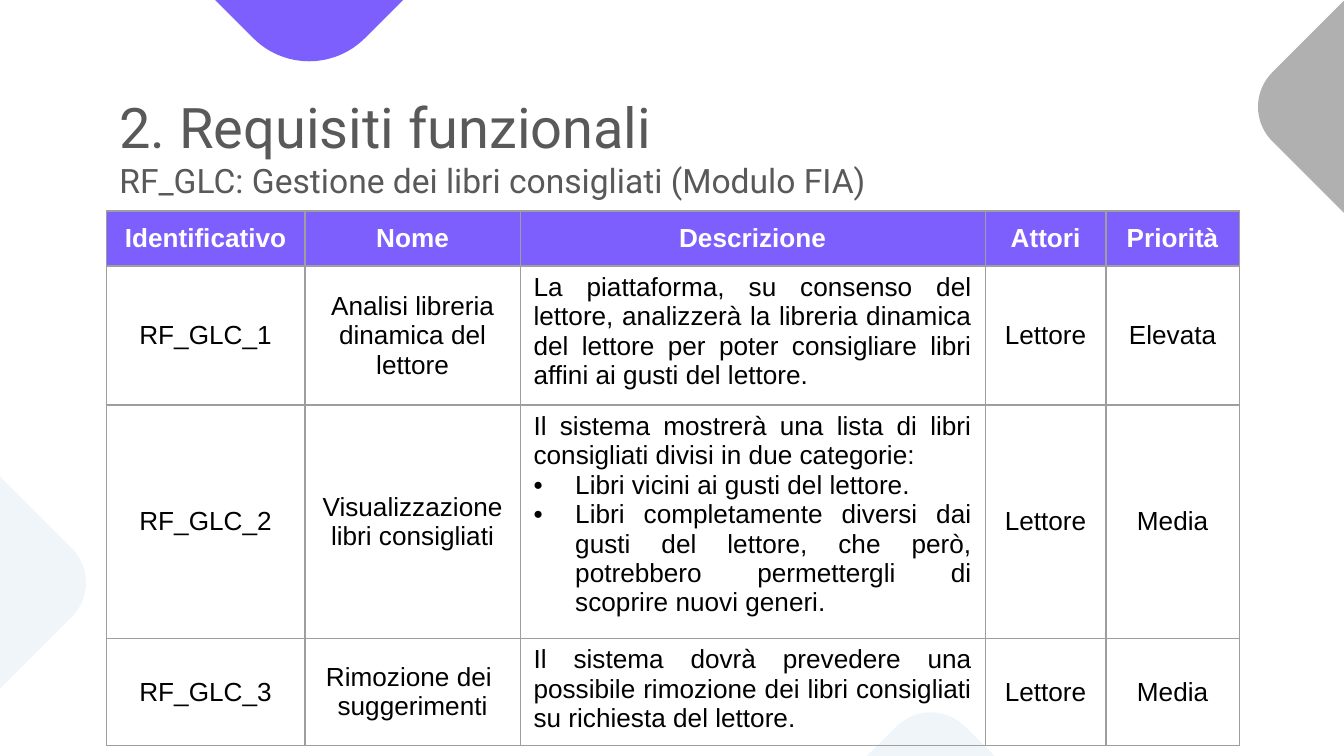
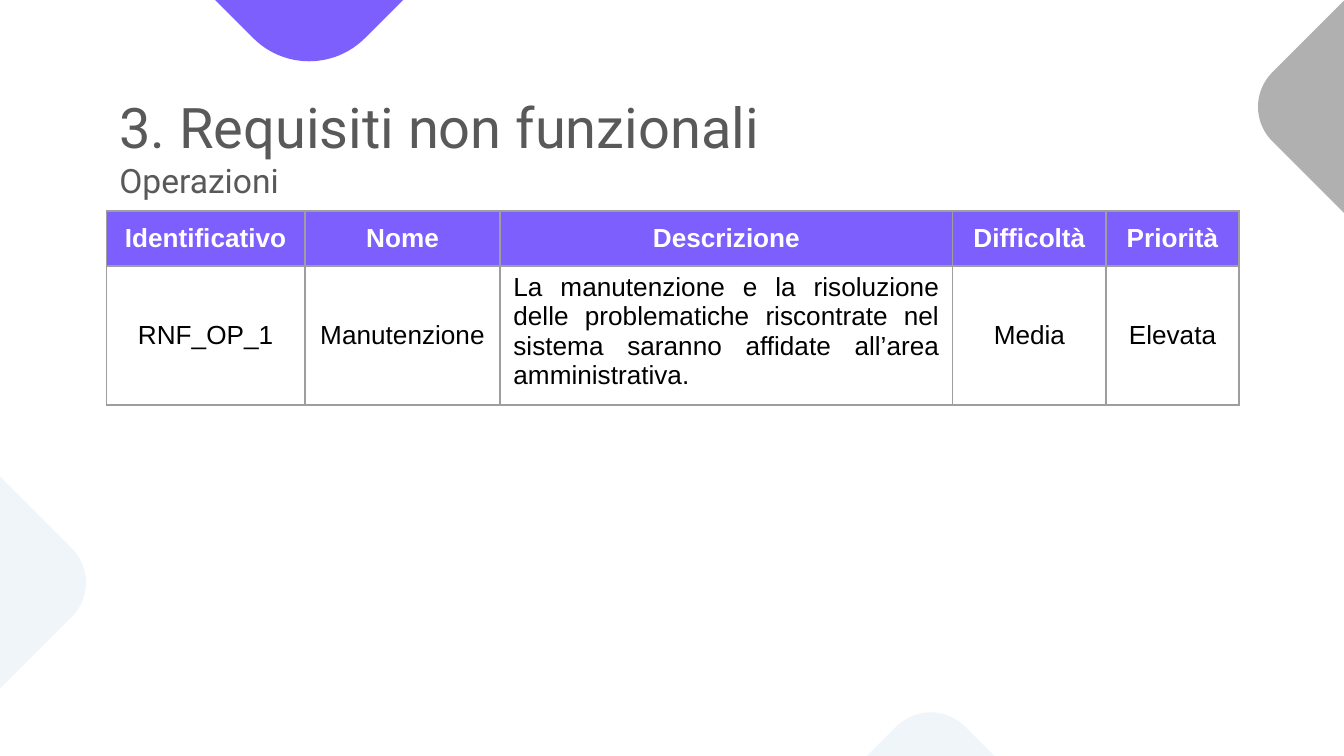
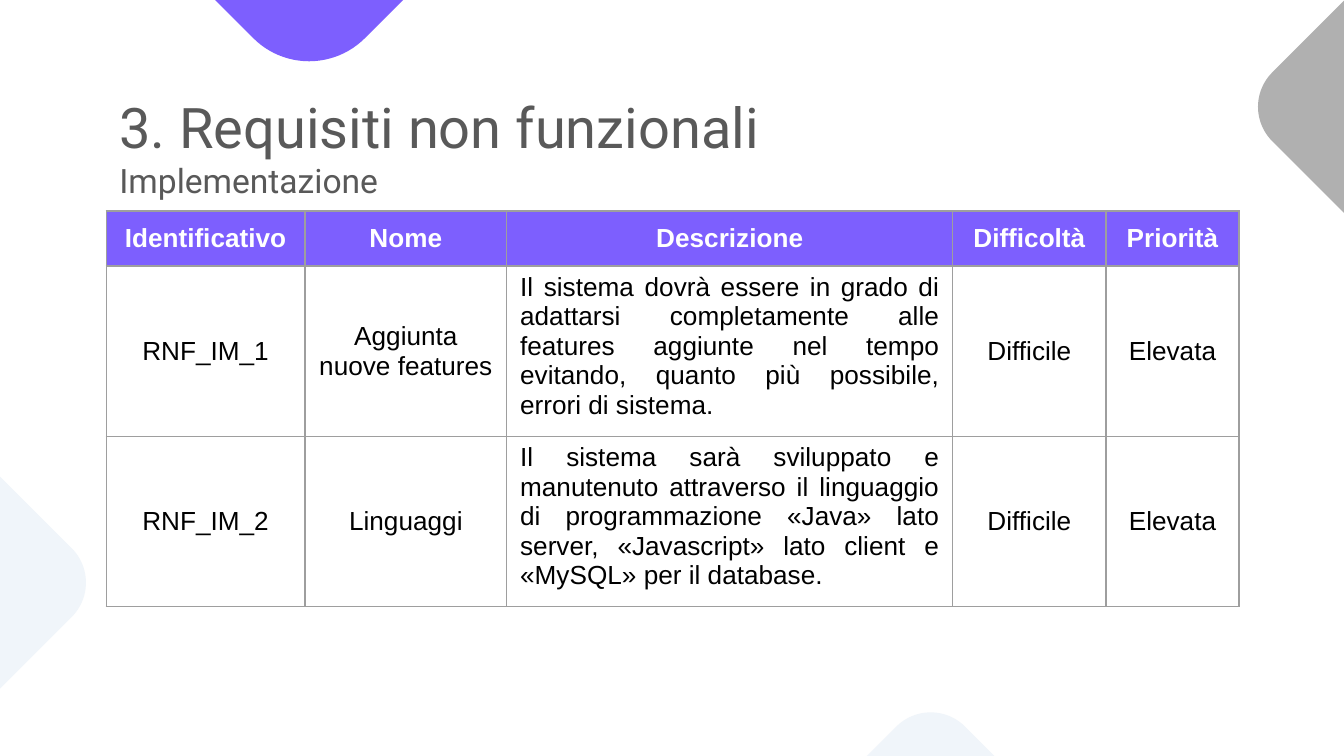
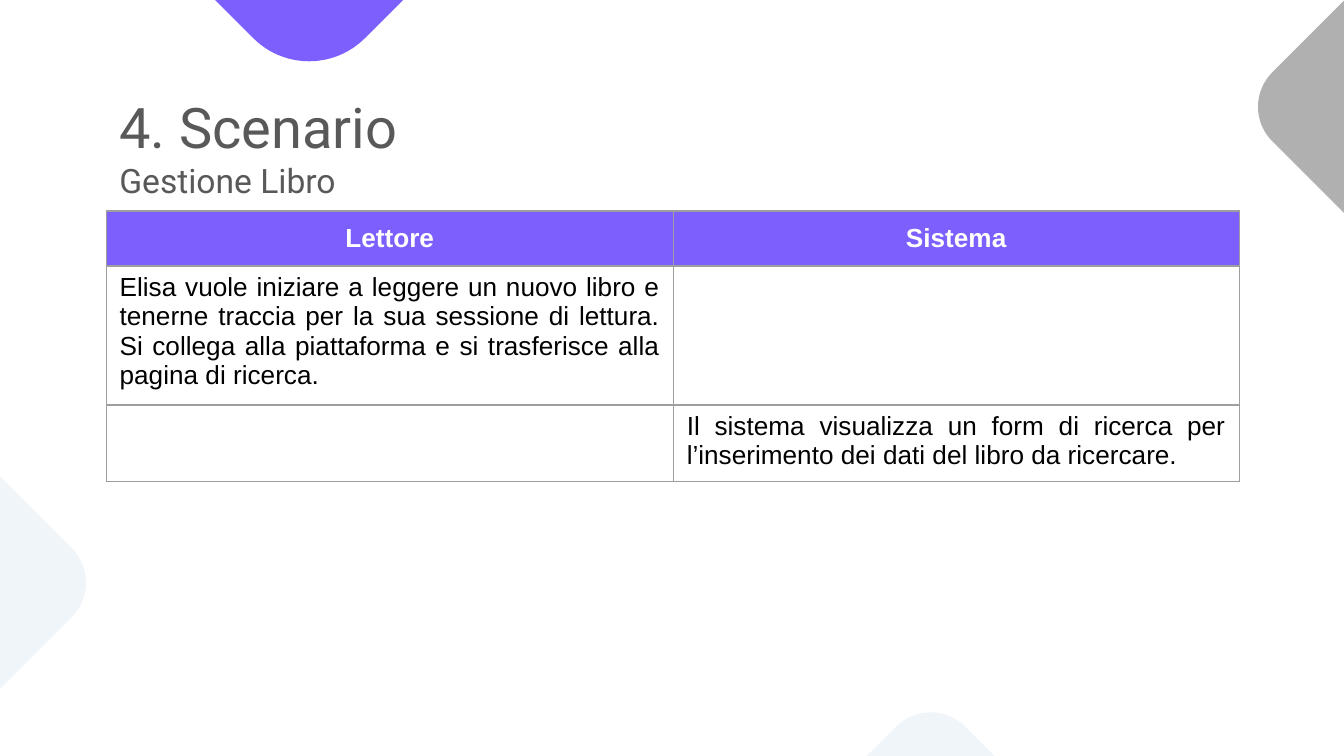
import pptx
import pptx.util
import pptx.dml.color
import pptx.enum.shapes
import pptx.enum.text
import pptx.oxml
import pptx.oxml.ns

Inches = pptx.util.Inches
Pt = pptx.util.Pt
ALIGN = pptx.enum.text.PP_ALIGN
ANCHOR = pptx.enum.text.MSO_ANCHOR

# Content
FUNCTIONAL_HEADER = ["Identificativo", "Nome", "Descrizione", "Attori", "Priorità"]
NON_FUNCTIONAL_HEADER = ["Identificativo", "Nome", "Descrizione", "Difficoltà", "Priorità"]

# Each cell is a text or a list of paragraphs; "• " starts a bullet.
# A width of None takes what the other columns leave.
SLIDES = [
    {
        "title": "2. Requisiti funzionali",
        "subtitle": "RF_GLC: Gestione dei libri consigliati (Modulo FIA)",
        "table_height": 3.97,
        "widths": [1.48, 1.6, None, 0.9, 0.99],
        "prose_columns": [2],
        "rows": [
            FUNCTIONAL_HEADER,
            ["RF_GLC_1", "Analisi libreria dinamica del lettore",
             "La piattaforma, su consenso del lettore, analizzerà la libreria dinamica "
             "del lettore per poter consigliare libri affini ai gusti del lettore.",
             "Lettore", "Elevata"],
            ["RF_GLC_2", "Visualizzazione libri consigliati",
             ["Il sistema mostrerà una lista di libri consigliati divisi in due categorie:",
              "• Libri vicini ai gusti del lettore.",
              "• Libri completamente diversi dai gusti del lettore, che però, "
              "potrebbero permettergli di scoprire nuovi generi."],
             "Lettore", "Media"],
            ["RF_GLC_3", ["Rimozione dei ", "suggerimenti"],
             "Il sistema dovrà prevedere una possibile rimozione dei libri consigliati "
             "su richiesta del lettore.",
             "Lettore", "Media"],
        ],
    },
    {
        "title": "3. Requisiti non funzionali",
        "subtitle": "Operazioni",
        "table_height": 1.44,
        "widths": [1.48, 1.45, None, 1.14, 0.99],
        "prose_columns": [2],
        "rows": [
            NON_FUNCTIONAL_HEADER,
            ["RNF_OP_1", "Manutenzione",
             "La manutenzione e la risoluzione delle problematiche riscontrate nel "
             "sistema saranno affidate all’area amministrativa.",
             "Media", "Elevata"],
        ],
    },
    {
        "title": "3. Requisiti non funzionali",
        "subtitle": "Implementazione",
        "table_height": 2.94,
        "widths": [1.48, 1.5, None, 1.14, 0.99],
        "prose_columns": [2],
        "rows": [
            NON_FUNCTIONAL_HEADER,
            ["RNF_IM_1", "Aggiunta nuove features",
             "Il sistema dovrà essere in grado di adattarsi completamente alle features "
             "aggiunte nel tempo evitando, quanto più possibile, errori di sistema.",
             "Difficile", "Elevata"],
            ["RNF_IM_2", "Linguaggi",
             "Il sistema sarà sviluppato e manutenuto attraverso il linguaggio di "
             "programmazione «Java» lato server, «Javascript» lato client e «MySQL» "
             "per il database.",
             "Difficile", "Elevata"],
        ],
    },
    {
        "title": "4. Scenario",
        "subtitle": "Gestione Libro",
        "table_height": 2.01,
        "widths": [4.22, None],
        "prose_columns": [0, 1],
        "rows": [
            ["Lettore", "Sistema"],
            ["Elisa vuole iniziare a leggere un nuovo libro e tenerne traccia per la sua "
             "sessione di lettura. Si collega alla piattaforma e si trasferisce alla "
             "pagina di ricerca.", ""],
            ["", "Il sistema visualizza un form di ricerca per l’inserimento dei dati "
                 "del libro da ricercare."],
        ],
    },
]

# Shared style
COLORS = {
    "purple": "7D5FFE", "gray": "B0B0B0", "pale": "F0F5FA", "title": "595959",
    "white": "FFFFFF", "black": "000000", "border": "9E9E9E",
}
DIAMONDS = [  # left, top, side, colour
    (0.54, -3.55, 3.52, "purple"),
    (9.66, -0.29, 2.17, "gray"),
    (-1.83, 3.25, 2.17, "pale"),
    (5.84, 5.6, 2.17, "pale"),
]
TITLE_FONT = {"name": "Roboto", "size": Pt(30), "bold": False}
SUBTITLE_FONT = {**TITLE_FONT, "size": Pt(18)}
HEADER_FONT = {"name": "Arial", "size": Pt(14), "bold": True}
BODY_FONT = {**HEADER_FONT, "bold": False}
SLIDE_WIDTH = Inches(10)
SLIDE_HEIGHT = SLIDE_WIDTH * 9 // 16
LEFT, CONTENT_WIDTH = 0.79, 8.43
TITLE_TOP, TITLE_HEIGHT = 0.59, 0.98
TABLE_TOP, ROW_HEIGHT = TITLE_TOP + TITLE_HEIGHT, 0.41
BULLET_INDENT = Inches(0.31)


def rgb(color):
    return pptx.dml.color.RGBColor.from_string(COLORS[color])


def set_font(font, values, color):
    for name, value in values.items():
        setattr(font, name, value)
    font.color.rgb = rgb(color)


def add_xml(parent, xml):
    parent.append(pptx.oxml.parse_xml(
        xml.replace("NS", pptx.oxml.ns.nsdecls("a"), 1)))


def add_diamonds(slide):
    for left, top, side, color in DIAMONDS:
        diamond = slide.shapes.add_shape(
            pptx.enum.shapes.MSO_SHAPE.ROUNDED_RECTANGLE,
            Inches(left), Inches(top), Inches(side), Inches(side))
        diamond.rotation = 315
        diamond.shadow.inherit = False
        diamond.fill.solid()
        diamond.fill.fore_color.rgb = rgb(color)
        diamond.line.fill.background()


def add_title(slide, title, subtitle):
    box = slide.shapes.add_textbox(
        Inches(LEFT), Inches(TITLE_TOP), Inches(CONTENT_WIDTH), Inches(TITLE_HEIGHT))
    frame = box.text_frame
    frame.word_wrap = True
    for side in ("left", "top", "right", "bottom"):
        setattr(frame, f"margin_{side}", Inches(0.1))
    paragraph = frame.paragraphs[0]
    for text, font in ((title, TITLE_FONT), (subtitle, SUBTITLE_FONT)):
        if paragraph.runs:
            paragraph.add_line_break()
        run = paragraph.add_run()
        run.text = text
        set_font(run.font, font, "title")


def add_bullet(paragraph):
    properties = paragraph._p.get_or_add_pPr()
    properties.set("marL", str(BULLET_INDENT))
    properties.set("indent", str(-BULLET_INDENT))
    add_xml(properties, f'<a:buClr NS><a:srgbClr val="{COLORS["black"]}"/></a:buClr>')
    add_xml(properties, '<a:buFont NS typeface="Arial"/>')
    add_xml(properties, '<a:buChar NS char="•"/>')


def fill_cell(cell, content, is_header, is_prose):
    # Borders come before the fill in the cell properties
    properties = cell._tc.get_or_add_tcPr()
    for side in "LRTB":
        add_xml(properties, f'<a:ln{side} NS w="{Pt(0.75)}"><a:solidFill>'
                            f'<a:srgbClr val="{COLORS["border"]}"/></a:solidFill></a:ln{side}>')
    if is_header:
        cell.fill.solid()
        cell.fill.fore_color.rgb = rgb("purple")
    else:
        cell.fill.background()
    cell.vertical_anchor = ANCHOR.TOP if is_prose else ANCHOR.MIDDLE

    texts = [content] if isinstance(content, str) else content
    for index, text in enumerate(texts):
        frame = cell.text_frame
        paragraph = frame.add_paragraph() if index else frame.paragraphs[0]
        paragraph.alignment = ALIGN.JUSTIFY if is_prose else ALIGN.CENTER
        paragraph.line_spacing = 1.0
        if text.startswith("• "):
            add_bullet(paragraph)
        if text:
            run = paragraph.add_run()
            run.text = text.removeprefix("• ")
            set_font(run.font, HEADER_FONT if is_header else BODY_FONT,
                     "white" if is_header else "black")


def add_requirements_table(slide, rows, widths, prose_columns, table_height):
    frame = slide.shapes.add_table(
        len(rows), len(widths), Inches(LEFT), Inches(TABLE_TOP),
        Inches(CONTENT_WIDTH), Inches(table_height))
    table = frame.table
    table.first_row = table.horz_banding = False
    remainder = CONTENT_WIDTH - sum(width or 0 for width in widths)
    for column, width in zip(table.columns, widths):
        column.width = Inches(width or remainder)
    for row_index, row in enumerate(rows):
        table.rows[row_index].height = Inches(ROW_HEIGHT)
        is_header = row_index == 0
        for column_index, content in enumerate(row):
            is_prose = not is_header and column_index in prose_columns
            fill_cell(table.cell(row_index, column_index), content, is_header, is_prose)
    # Row heights are minimums; the frame covers the grown rows
    frame.height = Inches(table_height)


def main():
    presentation = pptx.Presentation()
    presentation.slide_width = SLIDE_WIDTH
    presentation.slide_height = SLIDE_HEIGHT
    for content in SLIDES:
        slide = presentation.slides.add_slide(presentation.slide_layouts[6])
        add_diamonds(slide)
        add_title(slide, content["title"], content["subtitle"])
        add_requirements_table(
            slide, content["rows"], content["widths"],
            content["prose_columns"], content["table_height"])
    presentation.save("out.pptx")


if __name__ == "__main__":
    main()
